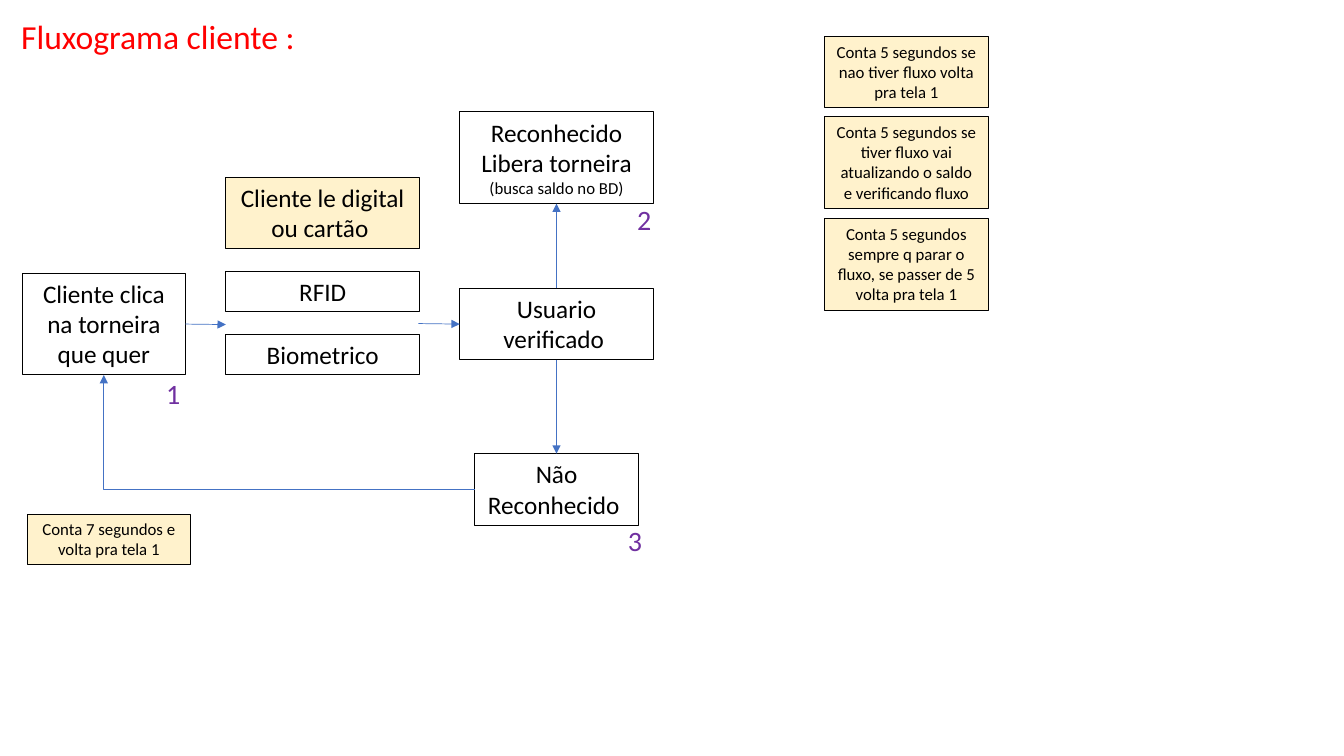
from lxml import etree
from pptx import Presentation
from pptx.dml.color import RGBColor
from pptx.enum.shapes import MSO_CONNECTOR, MSO_SHAPE
from pptx.enum.text import MSO_ANCHOR, MSO_AUTO_SIZE, PP_ALIGN
from pptx.oxml.ns import qn
from pptx.util import Inches, Pt

RECTANGLE = MSO_SHAPE.RECTANGLE
STRAIGHT, ELBOW = MSO_CONNECTOR.STRAIGHT, MSO_CONNECTOR.ELBOW
TOP, LEFT, BOTTOM, RIGHT = range(4)
FONT = "Calibri"
BLACK, RED, PURPLE, BLUE, CREAM = "000000", "FF0000", "7030A0", "4472C4", "FFF2CC"
WIDE, NARROW = 1.92, 1.62

TITLE = "Fluxograma cliente :"

# key: (left, top, width, height, fill, [(text, size), ...])
STEPS = {
    "read": (2.24, 1.76, WIDE, 0.71, CREAM, [("Cliente le digital ou cartão ", 18)]),
    "rfid": (2.24, 2.69, WIDE, 0.4, None, [("RFID", 18)]),
    "biometric": (2.24, 3.32, WIDE, 0.4, None, [("Biometrico", 18)]),
    "user": (4.56, 2.86, WIDE, 0.71, None, [("Usuario verificado ", 18)]),
    "click": (0.22, 2.71, NARROW, 1.01, None, [("Cliente clica na torneira que quer", 18)]),
    "unknown": (4.71, 4.5, NARROW, 0.71, None, [("Não Reconhecido ", 18)]),
    "known": (4.56, 1.11, WIDE, 0.91, None, [
        ("Reconhecido", 18), ("Libera torneira", 18), ("(busca saldo no BD)", 12)]),
}

# (left, top, height, text)
NOTES = [
    (0.27, 5.1, 0.5, "Conta 7 segundos e volta pra tela 1"),
    (8.18, 0.36, 0.71, "Conta 5 segundos se nao tiver fluxo volta pra tela 1"),
    (8.18, 1.16, 0.91,
     "Conta 5 segundos se tiver fluxo vai atualizando o saldo e verificando fluxo"),
    (8.18, 2.17, 0.91,
     "Conta 5 segundos sempre q parar o fluxo, se passer de 5 volta pra tela 1"),
]

SCREEN_NUMBERS = [("1", 1.55, 3.69), ("2", 6.22, 1.96), ("3", 6.13, 5.14)]

# Each end is (step, side) or a free point (x, y)
ARROWS = [
    (STRAIGHT, ("click", RIGHT), (2.24, 3.22)),
    (STRAIGHT, (4.15, 3.21), ("user", LEFT)),
    (STRAIGHT, ("user", BOTTOM), ("unknown", TOP)),
    (STRAIGHT, ("user", TOP), ("known", BOTTOM)),
    (ELBOW, ("unknown", LEFT), ("click", BOTTOM)),
]


def color(hex_code):
    return RGBColor.from_string(hex_code)


def place(shape, left, top, width, height):
    shape.left, shape.top = Inches(left), Inches(top)
    shape.width, shape.height = Inches(width), Inches(height)


def write(shape, lines, hex_code, align, wrap):
    frame = shape.text_frame
    frame.text = "\n".join(text for text, _ in lines)
    frame.word_wrap = wrap
    frame.auto_size = MSO_AUTO_SIZE.SHAPE_TO_FIT_TEXT
    frame.vertical_anchor = MSO_ANCHOR.TOP
    for paragraph, (_, size) in zip(frame.paragraphs, lines):
        paragraph.alignment = align
        paragraph.font.name = FONT
        paragraph.font.size = Pt(size)
        paragraph.font.color.rgb = color(hex_code)


def add_box(slide, left, top, width, height, fill, lines):
    box = slide.shapes.add_shape(
        RECTANGLE, Inches(left), Inches(top), Inches(width), Inches(height))
    box.shadow.inherit = False
    if fill:
        box.fill.solid()
        box.fill.fore_color.rgb = color(fill)
    else:
        box.fill.background()
    box.line.color.rgb = color(BLACK)
    box.line.width = Pt(0.75)
    write(box, lines, BLACK, PP_ALIGN.CENTER, True)
    return box


def end_point(end):
    """Return the x, y of a free point or of the middle of a step's side."""
    if end[0] not in STEPS:
        return end
    step, side = end
    left, top, width, height = STEPS[step][:4]
    across, down = {TOP: (0.5, 0), LEFT: (0, 0.5), BOTTOM: (0.5, 1), RIGHT: (1, 0.5)}[side]
    return left + across * width, top + down * height


def add_arrow(slide, kind, start, end, boxes):
    points = [Inches(value) for value in end_point(start) + end_point(end)]
    arrow = slide.shapes.add_connector(kind, *points)
    if start[0] in boxes:
        arrow.begin_connect(boxes[start[0]], start[1])
    if end[0] in boxes:
        arrow.end_connect(boxes[end[0]], end[1])
    arrow.line.color.rgb = color(BLUE)
    arrow.line.width = Pt(0.5)
    properties = arrow.element.spPr
    etree.SubElement(properties.find(qn("a:ln")), qn("a:tailEnd"), type="triangle")
    etree.SubElement(properties, qn("a:effectLst"))
    if kind == ELBOW:  # a single corner instead of the default two
        properties.find(qn("a:prstGeom")).set("prst", "bentConnector2")


def main():
    deck = Presentation()
    deck.slide_width, deck.slide_height = Inches(13.33), Inches(7.5)
    slide = deck.slides.add_slide(deck.slide_layouts[5])

    title = slide.shapes.title
    place(title, 0.11, 0.11, 2.94, 0.5)
    write(title, [(TITLE, 24)], RED, PP_ALIGN.LEFT, False)

    boxes = {step: add_box(slide, *details) for step, details in STEPS.items()}
    for left, top, height, text in NOTES:
        add_box(slide, left, top, NARROW, height, CREAM, [(text, 12)])
    for number, left, top in SCREEN_NUMBERS:
        label = slide.shapes.add_textbox(
            Inches(left), Inches(top), Inches(0.34), Inches(0.44))
        write(label, [(number, 20)], PURPLE, PP_ALIGN.LEFT, False)
    for kind, start, end in ARROWS:
        add_arrow(slide, kind, start, end, boxes)

    deck.save("out.pptx")


if __name__ == "__main__":
    main()
